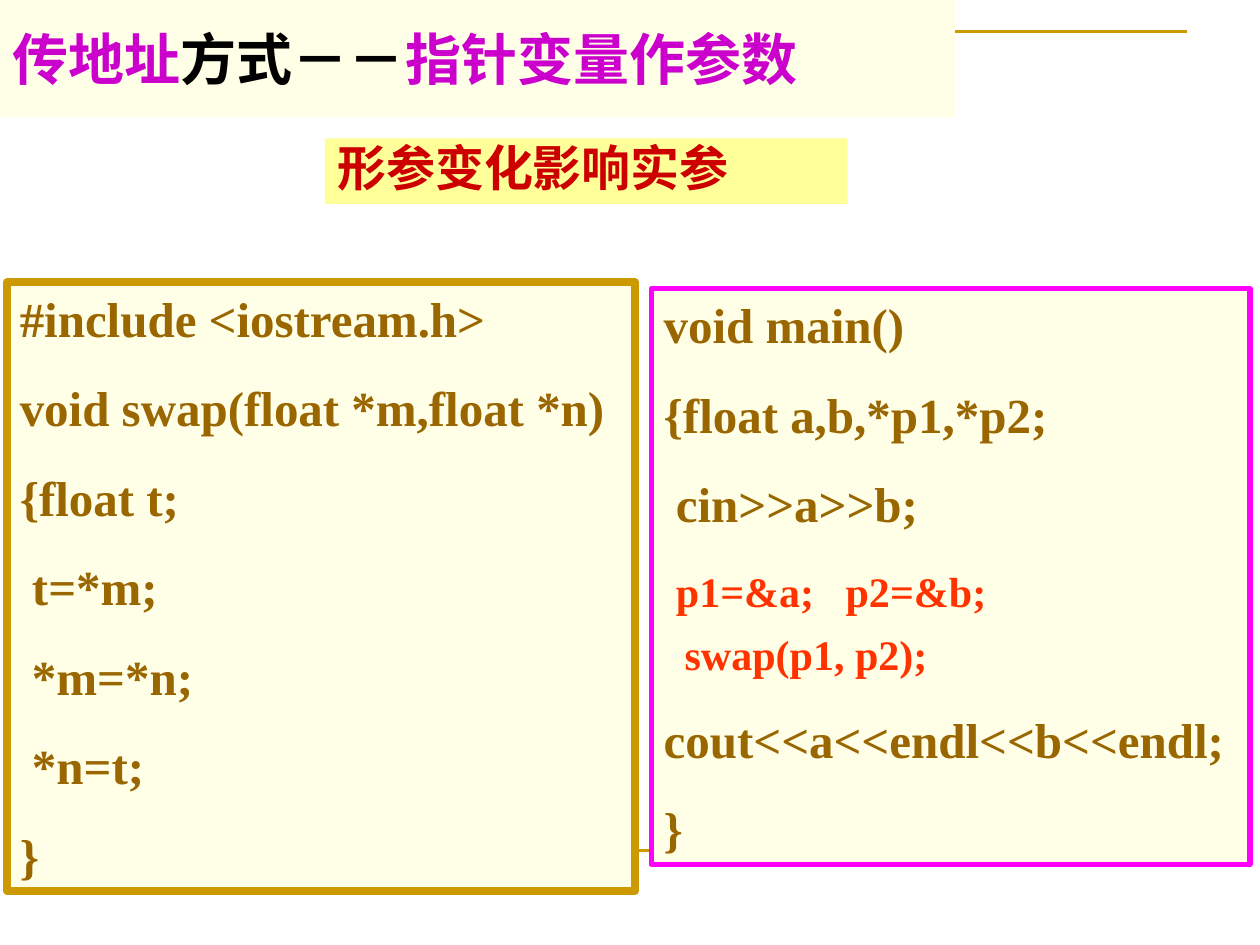
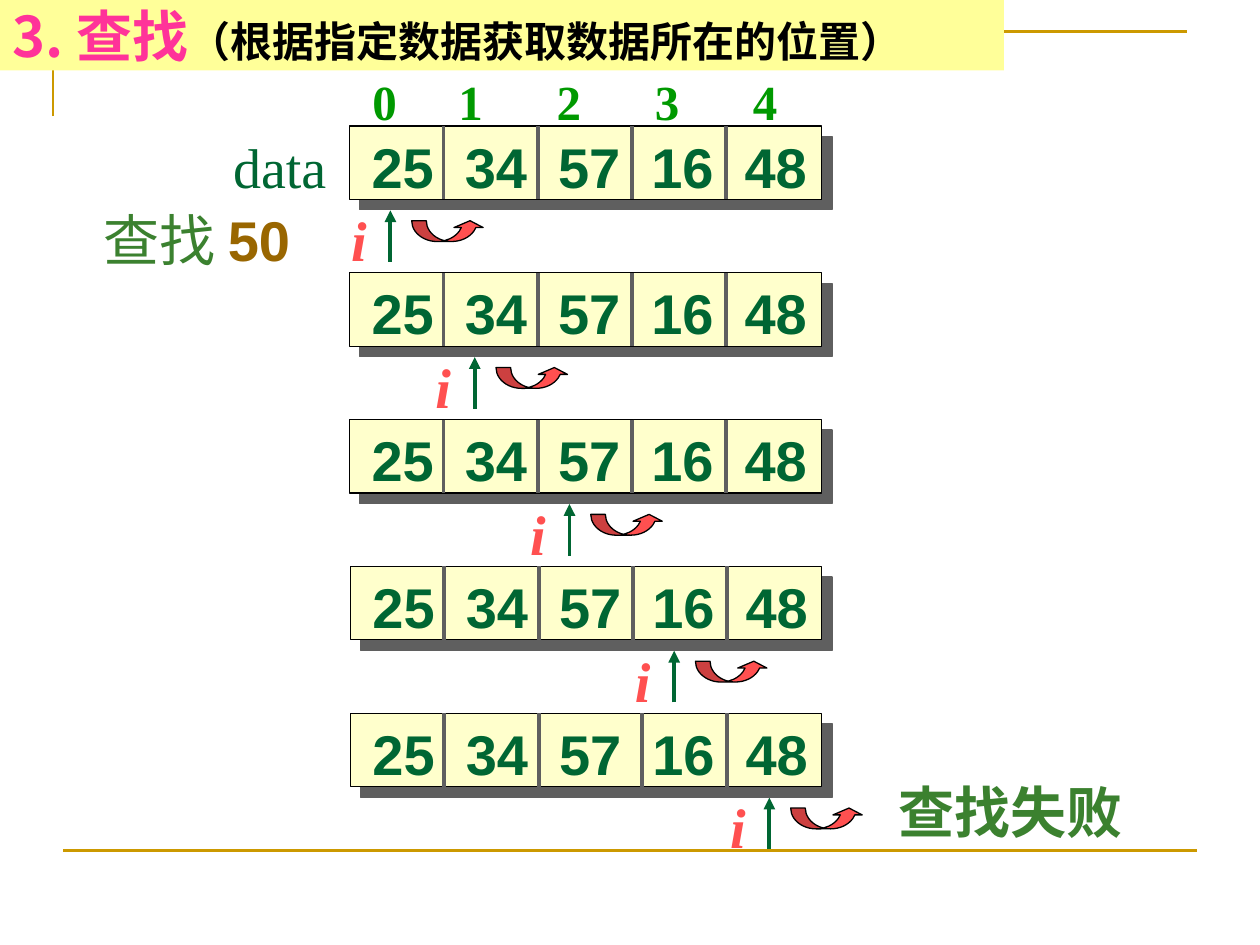
from lxml.etree import SubElement
from pptx import Presentation
from pptx.dml.color import RGBColor
from pptx.enum.shapes import MSO_CONNECTOR, MSO_SHAPE
from pptx.enum.text import MSO_ANCHOR, MSO_AUTO_SIZE, PP_ALIGN
from pptx.oxml.ns import qn
from pptx.util import Cm, Pt

# Colours and fonts
GOLD = RGBColor(0xCC, 0x99, 0x00)
IVORY = RGBColor(0xFF, 0xFF, 0xE7)
YELLOW = RGBColor(0xFF, 0xFF, 0x99)
CREAM = RGBColor(0xFF, 0xFF, 0xCC)
BLACK = RGBColor(0x00, 0x00, 0x00)
GREY = RGBColor(0x5F, 0x5F, 0x5F)
PURPLE = RGBColor(0xCC, 0x00, 0xCC)
MAGENTA = RGBColor(0xFF, 0x00, 0xFF)
PINK = RGBColor(0xFF, 0x33, 0x99)
RED = RGBColor(0xCC, 0x00, 0x00)
ORANGE = RGBColor(0xFF, 0x33, 0x00)
CORAL = RGBColor(0xFF, 0x50, 0x50)
BROWN = RGBColor(0x99, 0x66, 0x00)
DARK_GREEN = RGBColor(0x00, 0x66, 0x33)
GREEN = RGBColor(0x00, 0x99, 0x00)
MOSS = RGBColor(0x3B, 0x81, 0x2F)
CJK, SERIF, SANS = "Noto Sans CJK SC", "Times New Roman", "Arial"

# Content: a paragraph is a string or a list of (text, format) runs
POINTER_TITLE = [("传地址", {"color": PURPLE}), ("方式－－", {}),
                 ("指针变量作参数", {"color": PURPLE})]
POINTER_NOTE = "形参变化影响实参"
SWAP_CODE = ["#include <iostream.h>", "void swap(float *m,float *n)", "{float t;",
             " t=*m;", " *m=*n;", " *n=t;", "}"]
CALL = {"size": 24, "color": ORANGE}
MAIN_CODE = ["void main()", "{float a,b,*p1,*p2;", " cin>>a>>b;",
             [(" ", {}), ("p1=&a;   p2=&b;", CALL)],
             [("  swap(p1, p2);", CALL)],
             "cout<<a<<endl<<b<<endl;", "}"]
CODE_GAP = 17.5
MAIN_GAPS = {3: 15, 4: 6}

SEARCH_TITLE = [("3. 查找", {"color": PINK}),
                ("（根据指定数据获取数据所在的位置）", {"size": 24})]
SEARCH_KEY = [("查找 ", {}), ("50", {"font": SANS, "color": BROWN, "bold": True})]
VALUES = [25, 34, 57, 16, 48]
# Left edge of each array row and of its index mark, in cm
STEPS = [(7.04, 6.83), (7.04, 8.53), (7.04, 10.44), (7.06, 12.55), (7.06, 14.47)]
DIVIDER_SHIFT = {(4, 3): 0.18}

# Array geometry, in cm
ROW_TOP, ROW_PITCH, ROW_HEIGHT, ROW_RIGHT = 2.54, 2.96, 1.48, 16.56
CELL_WIDTH, VALUE_PITCH = 1.9, 1.88
INDEX_TABS = [1.73 + 1.98 * k for k in range(4)]
VALUE_TABS = [VALUE_PITCH * k for k in range(1, 5)]


def write(tf, paras, size=32, font=SERIF, color=BLACK, bold=False, italic=False,
          gap=0, gaps=None, line=None, tabs=()):
    """Fill a text frame with paragraphs of formatted runs."""
    base = dict(size=size, font=font, color=color, bold=bold, italic=italic)
    for n, para in enumerate(paras):
        p = tf.paragraphs[0] if n == 0 else tf.add_paragraph()
        p.alignment = PP_ALIGN.LEFT
        p.space_before = Pt((gaps or {}).get(n, gap) if n else 0)
        if line:
            p.line_spacing = line
        if tabs:
            tab_list = SubElement(p._p.get_or_add_pPr(), qn("a:tabLst"))
            for x in tabs:
                SubElement(tab_list, qn("a:tab"), pos=str(int(Cm(x))), algn="l")
        for text, change in [(para, {})] if isinstance(para, str) else para:
            fmt = {**base, **change}
            r = p.add_run()
            r.text = text
            r.font.size = Pt(fmt["size"])
            r.font.bold, r.font.italic = fmt["bold"], fmt["italic"]
            r.font.color.rgb = fmt["color"]
            r.font.name = fmt["font"]
            SubElement(r._r.get_or_add_rPr(), qn("a:ea"), typeface=CJK)


def add_box(slide, x, y, w, h, fill, line=None, width=0.75, kind=MSO_SHAPE.RECTANGLE):
    sp = slide.shapes.add_shape(kind, Cm(x), Cm(y), Cm(w), Cm(h))
    sp.shadow.inherit = False
    sp.fill.solid()
    sp.fill.fore_color.rgb = fill
    if line is None:
        sp.line.fill.background()
    else:
        sp.line.color.rgb = line
        sp.line.width = Pt(width)
    sp.text_frame.vertical_anchor = MSO_ANCHOR.TOP
    return sp


def add_label(slide, x, y, w, paras, h=1.63, wrap=False, **fmt):
    tf = slide.shapes.add_textbox(Cm(x), Cm(y), Cm(w), Cm(h)).text_frame
    tf.word_wrap = wrap
    write(tf, paras, **fmt)


def add_line(slide, x1, y1, x2, y2, color, width, arrow=False):
    c = slide.shapes.add_connector(MSO_CONNECTOR.STRAIGHT, Cm(x1), Cm(y1), Cm(x2), Cm(y2))
    c.line.color.rgb = color
    c.line.width = Pt(width)
    if arrow:
        SubElement(c.get_or_add_ln(), qn("a:tailEnd"), type="triangle")
    SubElement(c.element.spPr, qn("a:effectLst"))


def add_slide(prs, title, w, h, fill):
    """Title-only slide with the gold frame behind its title band."""
    slide = prs.slides.add_slide(prs.slide_layouts[5])
    fb = slide.shapes.build_freeform(Cm(1.07), Cm(2.34))
    fb.add_line_segments([(Cm(1.07), Cm(0.64)), (Cm(23.93), Cm(0.64))], close=False)
    corner = fb.convert_to_shape()
    corner.shadow.inherit = False
    corner.fill.background()
    corner.line.color.rgb = GOLD
    corner.line.width = Pt(1.5)
    add_line(slide, 1.27, 17.15, 24.13, 17.15, GOLD, 1.5)

    sp = slide.shapes.title
    slide.shapes.element.append(sp.element)  # bring in front of the frame
    sp.left, sp.top, sp.width, sp.height = Cm(0), Cm(0), Cm(w), Cm(h)
    sp.fill.solid()
    sp.fill.fore_color.rgb = fill
    tf = sp.text_frame
    tf.auto_size = MSO_AUTO_SIZE.NONE
    tf.vertical_anchor = MSO_ANCHOR.MIDDLE
    write(tf, [title], font=CJK, bold=True)
    return slide


def add_shadow(sp):
    effects = sp.element.spPr.find(qn("a:effectLst"))
    shadow = SubElement(effects, qn("a:outerShdw"), dist=str(int(Pt(8.5))),
                        dir="2700000", algn="ctr", rotWithShape="0")
    SubElement(shadow, qn("a:srgbClr"), val=str(GREY))


def add_search_step(slide, n, left, mark):
    """One array row with its index mark, pointer and curved arrow."""
    top = ROW_TOP + ROW_PITCH * n
    add_line(slide, mark + 1.04, top + 2.74, mark + 1.04, top + 1.7,
             DARK_GREEN, 2.25, arrow=True)
    add_shadow(add_box(slide, left, top, ROW_RIGHT - left, ROW_HEIGHT, CREAM, BLACK))
    add_label(slide, left + 0.2, top, 10.5, ["\t".join(map(str, VALUES))], wrap=True,
              font=SANS, color=DARK_GREEN, bold=True, tabs=VALUE_TABS)
    for k in range(1, len(VALUES)):
        x = left + CELL_WIDTH * k + DIVIDER_SHIFT.get((n, k), 0)
        add_line(slide, x, top, x, top + ROW_HEIGHT, GREY, 2.25)
    add_label(slide, mark, top + ROW_HEIGHT, 0.81, ["i"],
              color=CORAL, bold=True, italic=True)
    curl = add_box(slide, mark + 1.47, top + 1.91, 1.47, 0.42, CORAL, BLACK,
                   kind=MSO_SHAPE.CURVED_UP_ARROW)
    for k, value in enumerate((0.7, 1.4, 0.33)):
        curl.adjustments[k] = value


def build_pointer_slide(prs):
    slide = add_slide(prs, POINTER_TITLE, 19.25, 2.36, IVORY)
    code = dict(size=28, color=BROWN, bold=True, gap=CODE_GAP)
    sp = add_box(slide, 13.13, 5.82, 12.07, 11.61, IVORY, MAGENTA, 3)
    write(sp.text_frame, MAIN_CODE, gaps=MAIN_GAPS, **code)
    sp = add_box(slide, 0.15, 5.69, 12.65, 12.27, IVORY, GOLD, 4.5)
    write(sp.text_frame, SWAP_CODE, **code)
    sp = add_box(slide, 6.55, 2.79, 10.54, 1.32, YELLOW)
    write(sp.text_frame, [POINTER_NOTE], size=28, font=CJK, color=RED, bold=True, line=0.9)


def build_search_slide(prs):
    slide = add_slide(prs, SEARCH_TITLE, 20.24, 1.42, YELLOW)
    for n, (left, mark) in enumerate(STEPS):
        add_search_step(slide, n, left, mark)
    # Labels around the array
    add_label(slide, 7.26, 1.32, 9.5, ["\t".join(map(str, range(len(VALUES))))], h=1.45,
              wrap=True, size=28, color=GREEN, bold=True, tabs=INDEX_TABS)
    add_label(slide, 4.45, 2.54, 2.39, ["data"], color=DARK_GREEN)
    add_label(slide, 1.83, 4.01, 4.85, [SEARCH_KEY], color=MOSS)
    add_label(slide, 17.86, 15.54, 5.03, ["查找失败"], color=MOSS, bold=True)


def main():
    prs = Presentation()
    prs.slide_width, prs.slide_height = Cm(25.4), Cm(19.05)
    build_pointer_slide(prs)
    build_search_slide(prs)
    prs.save("out.pptx")


if __name__ == "__main__":
    main()
